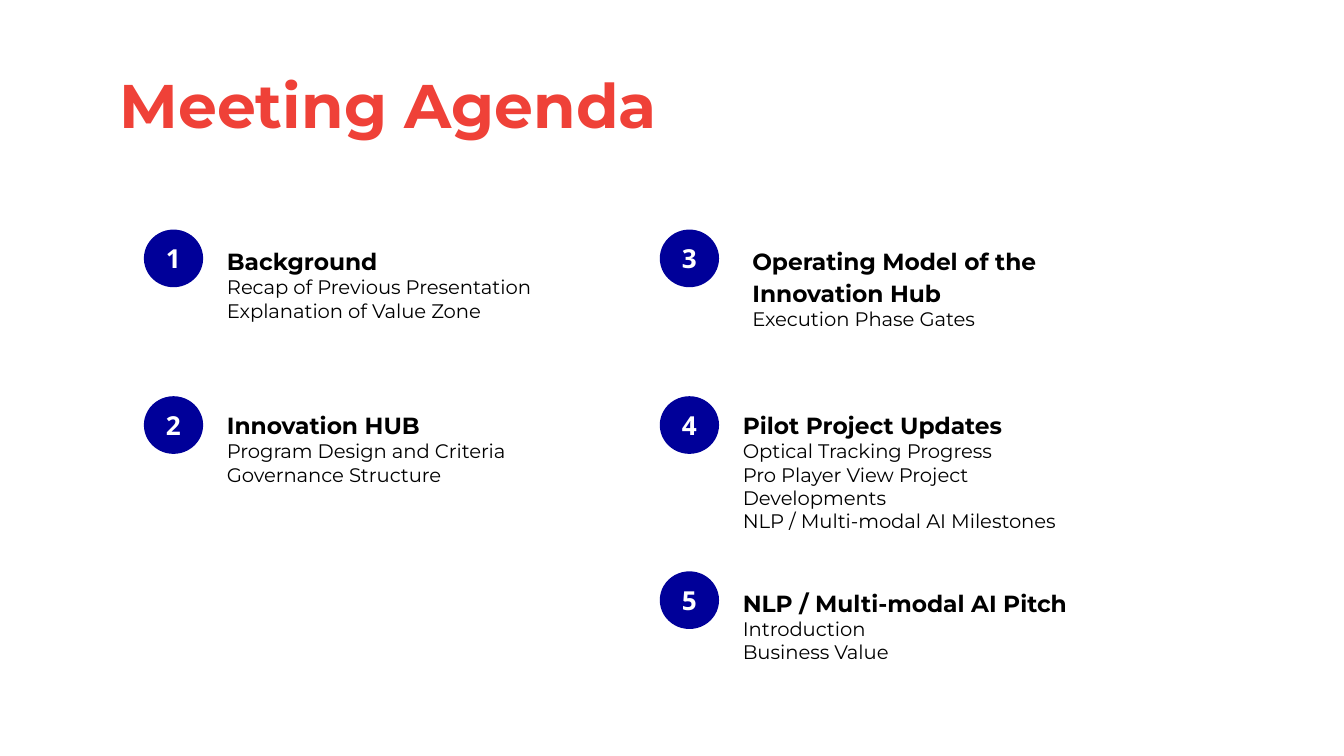
from pptx import Presentation
from pptx import util as u
from pptx.dml.color import RGBColor
from pptx.enum import shapes, text

TITLE = "Meeting Agenda"
RED, NAVY, WHITE, BLACK = "EF4138", "000099", "FFFFFF", "000000"

# number, column, row, heading, details, (text left offset, top offset, width, height) in cm
AGENDA = [
    (1, 0, 0, "Background",
     ["Recap of Previous Presentation", "Explanation of Value Zone"],
     (1.32, 0, 6.99, 3.07)),
    (2, 0, 1, "Innovation HUB",
     ["Program Design and Criteria", "Governance Structure"],
     (1.32, -0.05, 6.99, 3.33)),
    (3, 1, 0, "Operating Model of the Innovation Hub",
     ["Execution Phase Gates"],
     (1.5, 0, 7.11, 2.16)),
    (4, 1, 1, "Pilot Project Updates",
     ["Optical Tracking Progress", "Pro Player View Project Developments",
      "NLP / Multi-modal AI Milestones"],
     (1.32, -0.05, 7.49, 3.18)),
    (5, 1, 2, "NLP / Multi-modal AI Pitch",
     ["Introduction", "Business Value"],
     (1.32, 0, 6.71, 3.18)),
]
COLUMNS = [2.72, 12.47]
ROWS = [4.34, 7.49, 10.8]
BADGE_SIZE = (1.12, 1.09)
INSET = 0.25


def rgb(color):
    return RGBColor.from_string(color)


def style(paragraph, face, size, color, bold=True):
    font = paragraph.font
    font.name, font.size, font.bold = face, u.Pt(size), bold
    font.color.rgb = rgb(color)


def prepare(frame, anchor=text.MSO_ANCHOR.TOP):
    frame.word_wrap = True
    frame.vertical_anchor = anchor
    frame.margin_left = frame.margin_right = u.Cm(INSET)
    frame.margin_top = frame.margin_bottom = u.Cm(INSET)
    return frame


def add_text(slide, left, top, width, height):
    box = slide.shapes.add_textbox(u.Cm(left), u.Cm(top), u.Cm(width), u.Cm(height))
    return prepare(box.text_frame)


def add_badge(slide, number, left, top):
    badge = slide.shapes.add_shape(
        shapes.MSO_SHAPE.OVAL, u.Cm(left), u.Cm(top), *map(u.Cm, BADGE_SIZE))
    badge.shadow.inherit = False
    badge.fill.solid()
    badge.fill.fore_color.rgb = rgb(NAVY)
    badge.line.fill.background()
    label = prepare(badge.text_frame, text.MSO_ANCHOR.MIDDLE).paragraphs[0]
    label.text = str(number)
    label.alignment = text.PP_ALIGN.CENTER
    style(label, "Open Sans", 14, WHITE)


def add_topic(frame, heading, details):
    head = frame.paragraphs[0]
    head.text = heading
    head.line_spacing = 1.15
    style(head, "Montserrat", 12.5, BLACK)
    for detail in details:
        line = frame.add_paragraph()
        line.text = detail
        style(line, "Montserrat", 10.5, BLACK, bold=False)


prs = Presentation()
prs.slide_width, prs.slide_height = u.Cm(25.4), u.Cm(14.29)
slide = prs.slides.add_slide(prs.slide_layouts[6])

# Title
title = add_text(slide, 2.01, 1.02, 21.54, 3.2).paragraphs[0]
title.text = TITLE
style(title, "Montserrat", 33, RED)

# Numbered agenda topics
for number, column, row, heading, details, (dx, dy, width, height) in AGENDA:
    left, top = COLUMNS[column], ROWS[row]
    add_badge(slide, number, left, top)
    add_topic(add_text(slide, left + dx, top + dy, width, height), heading, details)

prs.save("out.pptx")
